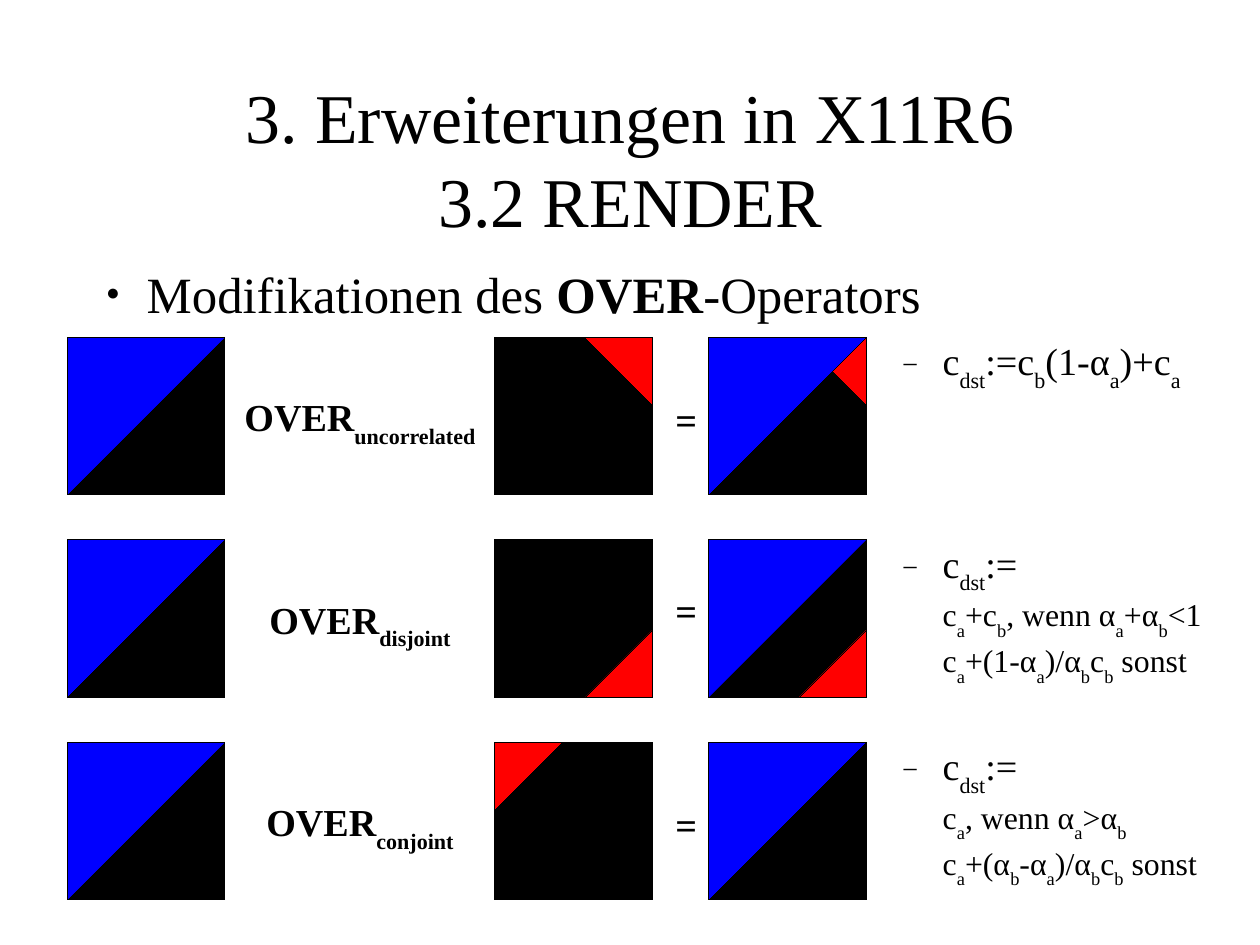
from pptx import Presentation
from pptx.dml.color import RGBColor
from pptx.enum.shapes import MSO_SHAPE as SHAPE
from pptx.enum.text import MSO_ANCHOR as ANCHOR, MSO_AUTO_SIZE as AUTO, PP_ALIGN as ALIGN
from pptx.oxml.ns import qn
from pptx.util import Pt
from lxml.etree import SubElement

PX = 3600  # 100 px to the centimetre
HAIRLINE = 1  # EMU
FONT = "Times New Roman"
BLACK = RGBColor(0, 0, 0)
BLUE = RGBColor(0, 0, 255)
RED = RGBColor(255, 0, 0)

SIDE, CORNER = 350, 150
FIRST_ROW, ROW_PITCH = 750, 450
SOURCE_X, MASK_X, RESULT_X = 150, 1100, 1575
LABEL_X, EQUALS_X, FORMULA_X = 500, 1450, 1975

# Triangles as fractions of their box
TOP_LEFT = ((0, 1), (0, 0), (1, 0))
TOP_RIGHT = ((1, 1), (0, 0), (1, 0))
BOTTOM_RIGHT = ((0, 1), (1, 0), (1, 1))

# Operator, red corner and its offset, drop of "=", formula height,
# formula lines with sizes; text between underscores is subscript
ROWS = (
    ("uncorrelated", TOP_RIGHT, (1, 0), 131, 114,
     (("c_dst_:=c_b_(1-α_a_)+c_a_", 24),)),
    ("disjoint", BOTTOM_RIGHT, (1, 1), 106, 478,
     (("c_dst_:=", 24),
      ("c_a_+c_b_, wenn α_a_+α_b_<1", 20),
      ("c_a_+(1-α_a_)/α_b_c_b_ sonst", 20))),
    ("conjoint", TOP_LEFT, (0, 0), 131, 384,
     (("c_dst_:=", 24),
      ("c_a_, wenn α_a_>α_b_", 20),
      ("c_a_+(α_b_-α_a_)/α_b_c_b_ sonst", 20))),
)


def place(shape, x, y, w, h):
    shape.left, shape.top, shape.width, shape.height = (v * PX for v in (x, y, w, h))


def prepare(tf, anchor=ANCHOR.TOP):
    tf.margin_left = tf.margin_right = tf.margin_top = tf.margin_bottom = 0
    tf.word_wrap = True
    tf.auto_size = AUTO.NONE
    tf.vertical_anchor = anchor
    p = tf.paragraphs[0]
    p.space_before = Pt(0)
    return p


def add_text(p, text, size, bold=False):
    for i, part in enumerate(text.split("_")):
        if not part:
            continue
        r = p.add_run()
        r.text = part
        r.font.name, r.font.size, r.font.bold = FONT, Pt(size), bold
        r.font.color.rgb = BLACK
        if i % 2:
            r.font._element.set("baseline", "-33000")


def add_lines(p, lines):
    for i, (text, size) in enumerate(lines):
        if i:
            p.add_line_break()
        add_text(p, text, size)


def set_bullet(p, char, percent):
    pPr = p._p.get_or_add_pPr()
    pPr.set("marL", str(120 * PX))
    pPr.set("indent", str(-90 * PX))
    color = SubElement(pPr, qn("a:buClr"))
    SubElement(color, qn("a:srgbClr")).set("val", str(BLACK))
    SubElement(pPr, qn("a:buSzPct")).set("val", str(percent * 1000))
    SubElement(pPr, qn("a:buFont")).set("typeface", FONT)
    SubElement(pPr, qn("a:buChar")).set("char", char)


def text_box(s, x, y, w, h):
    return prepare(s.shapes.add_textbox(x * PX, y * PX, w * PX, h * PX).text_frame)


def centred_text(s, x, y, w, h, text):
    p = text_box(s, x, y, w, h)
    p.alignment = ALIGN.CENTER
    add_text(p, text, 24, True)


def paint(shape, color):
    shape.shadow.inherit = False
    shape.fill.solid()
    shape.fill.fore_color.rgb = color
    shape.line.color.rgb = BLACK
    shape.line.width = HAIRLINE


def square(s, x, y):
    paint(s.shapes.add_shape(SHAPE.RECTANGLE, x * PX, y * PX, SIDE * PX, SIDE * PX), BLACK)


def triangle(s, x, y, side, points, color):
    pts = [(x + side * u, y + side * v) for u, v in points]
    outline = s.shapes.build_freeform(*pts[0], scale=PX)
    outline.add_line_segments(pts[1:], close=True)
    paint(outline.convert_to_shape(), color)


def red_corner(s, x, y, points, offset):
    shift = SIDE - CORNER
    triangle(s, x + offset[0] * shift, y + offset[1] * shift, CORNER, points, RED)


def add_heading(s):
    title, body = s.placeholders[0], s.placeholders[1]
    place(title, 206, 175, 2390, 350)
    p = prepare(title.text_frame, ANCHOR.MIDDLE)
    p.alignment = ALIGN.CENTER
    add_lines(p, (("3. Erweiterungen in X11R6", 44), ("3.2 RENDER", 44)))

    place(body, 206, 584, 2390, 1323)
    p = prepare(body.text_frame)
    p.space_after = Pt(14.2)
    set_bullet(p, "●", 45)
    add_text(p, "Modifikationen des ", 32)
    add_text(p, "OVER", 32, True)
    add_text(p, "-Operators", 32)


def add_operator_row(s, y, name, corner, offset, equals_drop, formula_h, formula):
    # Operands
    square(s, SOURCE_X, y)
    triangle(s, SOURCE_X, y, SIDE, TOP_LEFT, BLUE)
    centred_text(s, LABEL_X, y + 125, 600, 114, f"OVER_{name}_")
    square(s, MASK_X, y)
    red_corner(s, MASK_X, y, corner, offset)
    # Result
    centred_text(s, EQUALS_X, y + equals_drop, 150, 94, "=")
    square(s, RESULT_X, y)
    red_corner(s, RESULT_X, y, corner, offset)
    triangle(s, RESULT_X, y, SIDE, TOP_LEFT, BLUE)
    # Formula
    p = text_box(s, FORMULA_X, y, 750, formula_h)
    p.level = 1
    set_bullet(p, "−", 75)
    add_lines(p, formula)


def main():
    prs = Presentation()
    prs.slide_width, prs.slide_height = 2800 * PX, 2100 * PX
    s = prs.slides.add_slide(prs.slide_layouts[1])
    add_heading(s)
    for i, row in enumerate(ROWS):
        add_operator_row(s, FIRST_ROW + i * ROW_PITCH, *row)
    prs.save("out.pptx")


if __name__ == "__main__":
    main()
